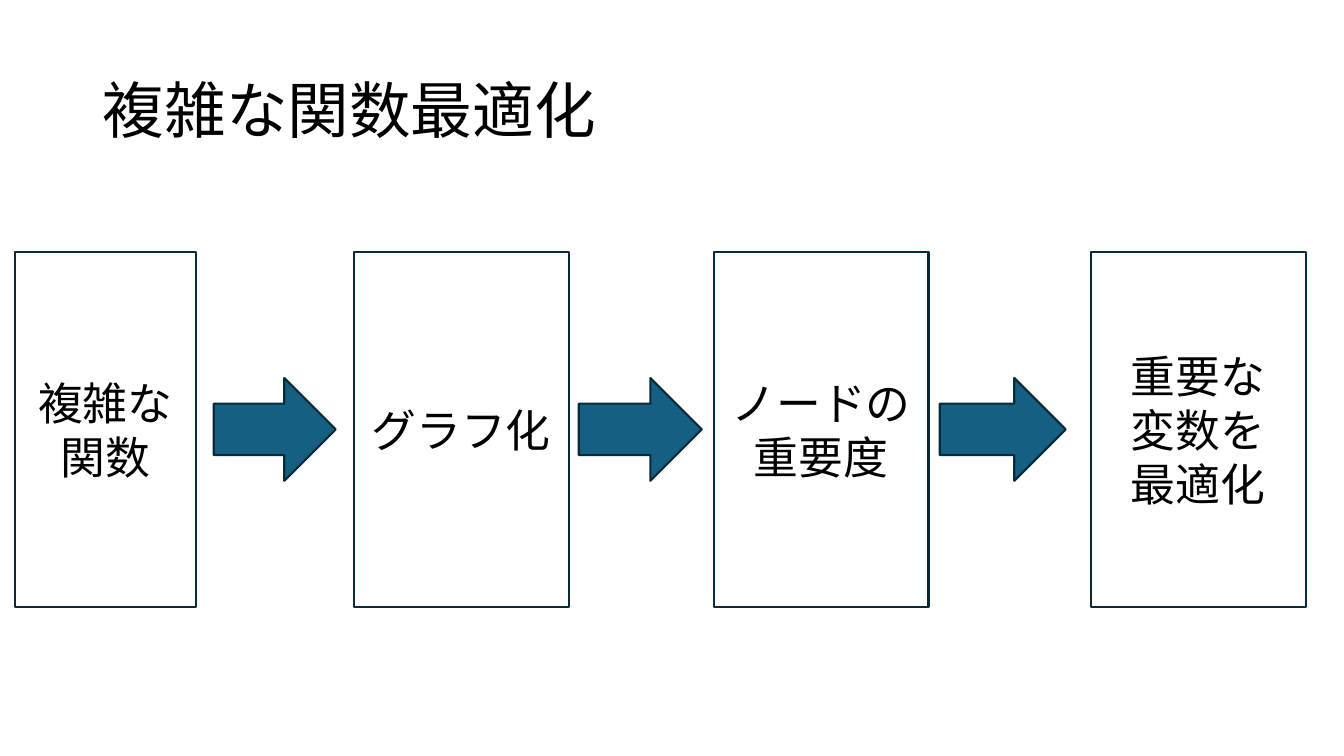
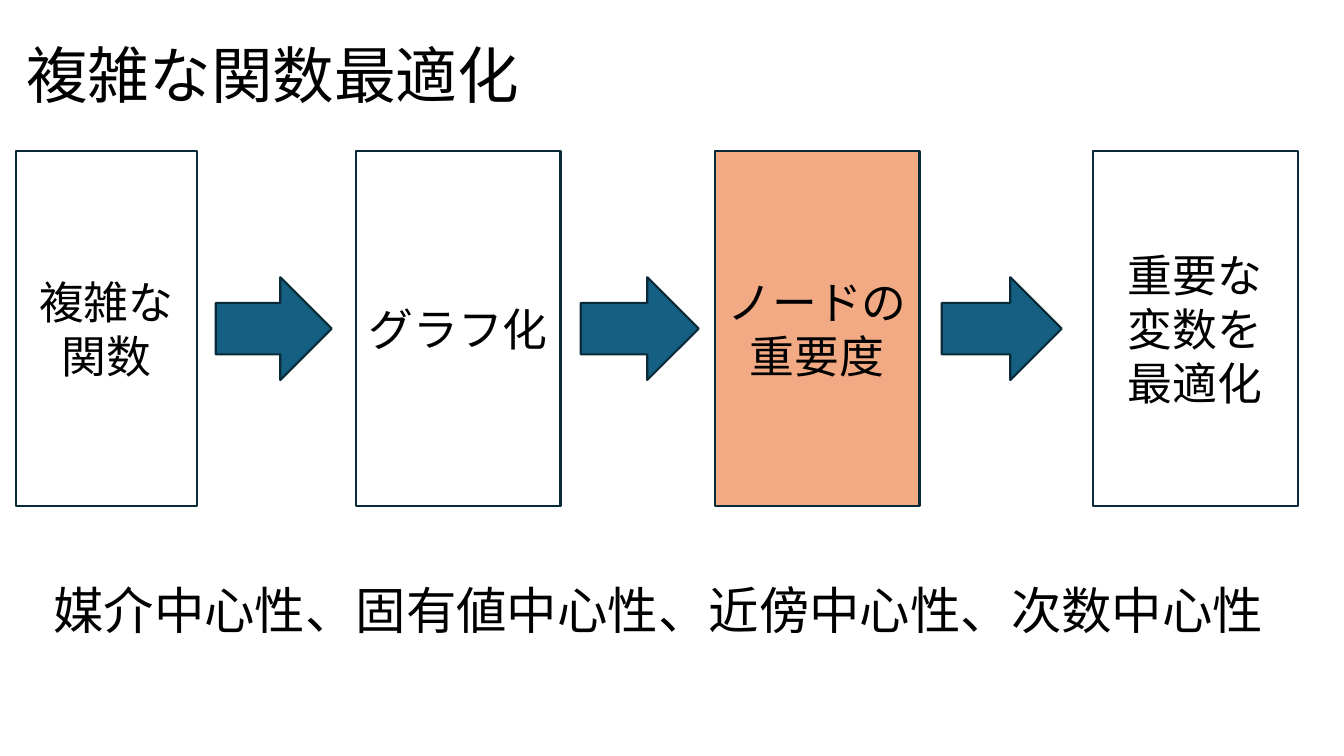
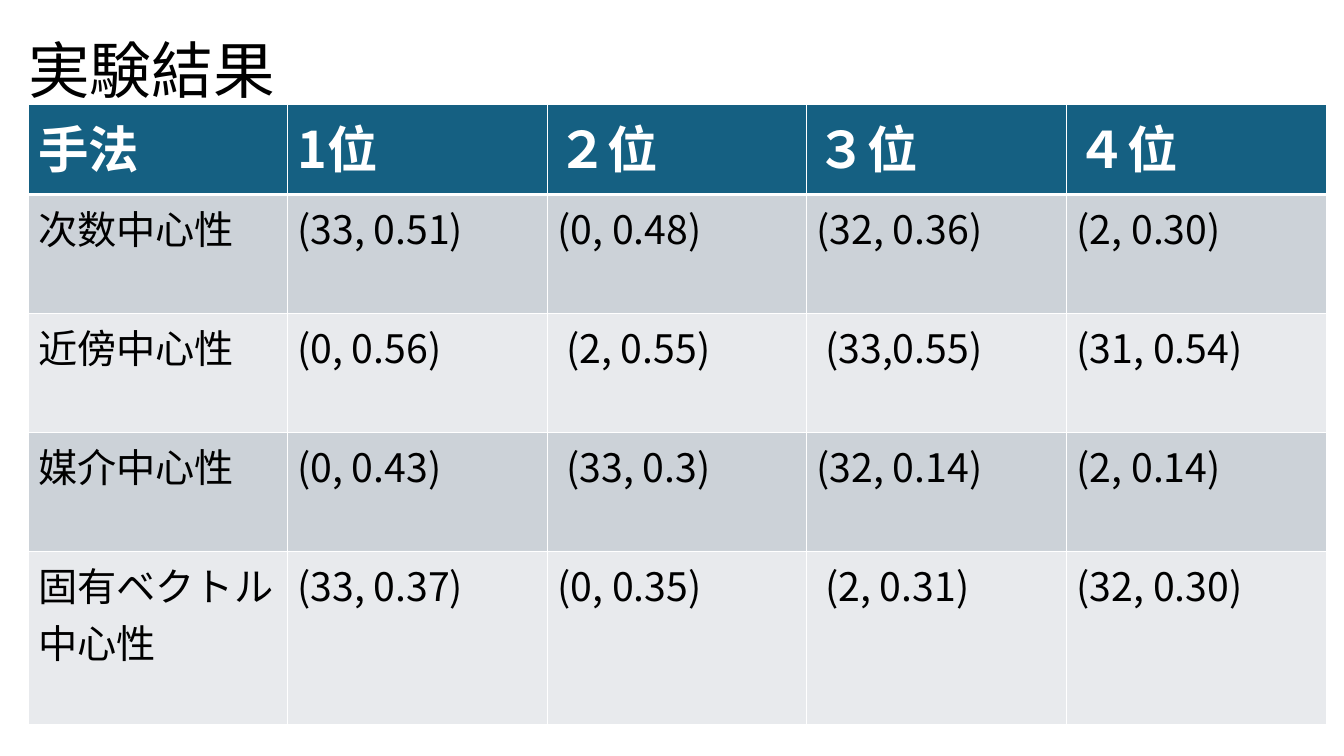
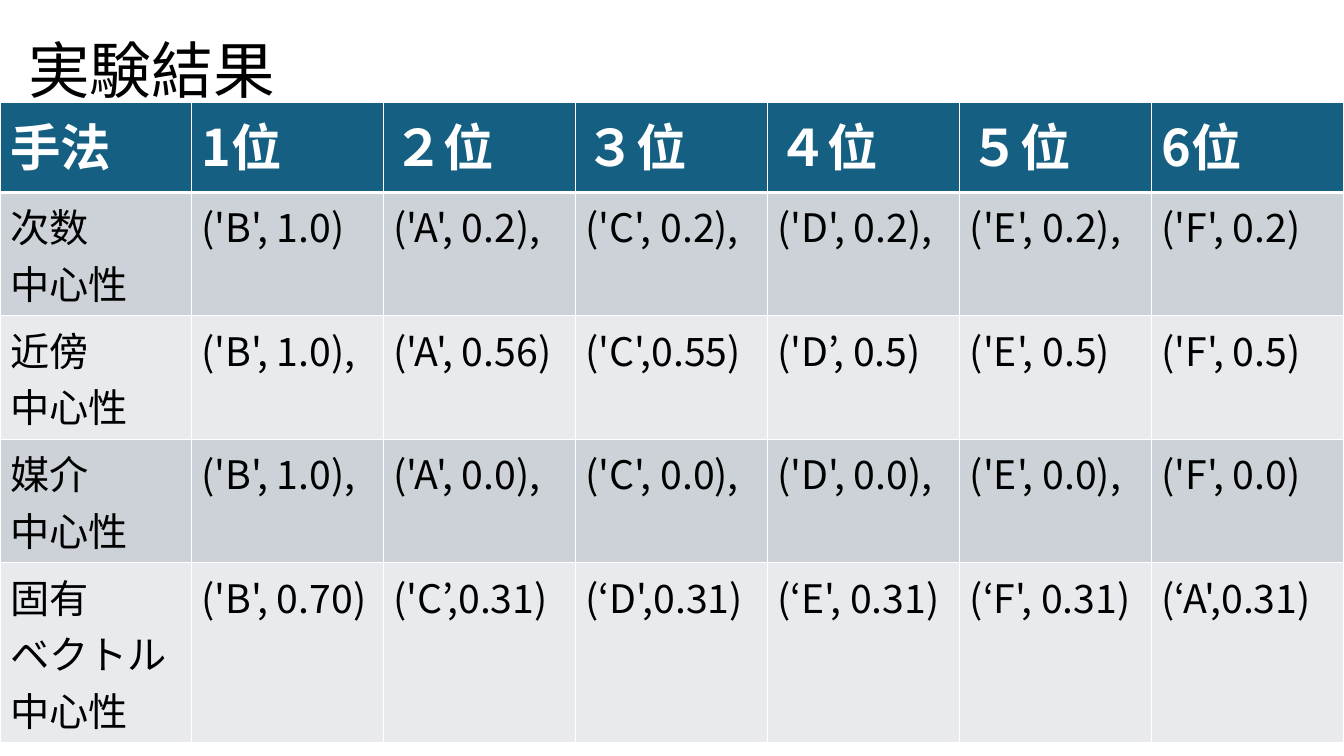
from dataclasses import dataclass

from lxml import etree
from pptx import Presentation
from pptx import util as u
from pptx.dml import color
from pptx.enum import shapes, text
from pptx.oxml import ns

PX = 9144  # EMU per px, 100 px to the inch
SLIDE_WIDTH, SLIDE_HEIGHT = 1333, 750
TITLE_WIDTH, TITLE_HEIGHT = 1150, 145
BOX_HEIGHT, ARROW_HEIGHT = 352, 102
ROW_HEIGHTS = (89, 118, 118, 118, 172)

FONT = "Noto Sans CJK JP"
BLACK, WHITE = "000000", "FFFFFF"
BLUE, NAVY, ORANGE = "156082", "092A39", "F2AA84"
BANDS = ("CCD2D8", "E8EAED")

STEP_LINES = (
    ("複雑な関数",),
    ("グラフ化",),
    ("ノードの重要度",),
    ("重要な", "変数を", "最適化"),
)


@dataclass(frozen=True)
class Span:
    """Horizontal extent in px."""
    left: int
    width: int


@dataclass(frozen=True)
class Flow:
    """Step boxes with the arrows between them; one box may be highlighted."""
    top: int
    boxes: tuple[Span, ...]
    arrows: tuple[Span, ...]
    highlight: int | None = None


@dataclass(frozen=True)
class Grid:
    left: int
    top: int
    width: int
    rows: tuple[tuple[str, ...], ...]


OVERVIEW = Flow(
    250,
    (Span(15, 179), Span(351, 213), Span(708, 213), Span(1082, 213)),
    (Span(212, 121), Span(574, 122), Span(932, 125)),
)
IMPORTANCE = Flow(
    150,
    (Span(16, 179), Span(353, 203), Span(709, 203), Span(1084, 203)),
    (Span(214, 115), Span(576, 117), Span(934, 119)),
    highlight=2,
)
FOUR_RANKS = Grid(28, 104, 1288, (
    ("手法", "1位", "２位", "３位", "４位"),
    ("次数中心性", "(33, 0.51)", "(0, 0.48)", "(32, 0.36)", "(2, 0.30)"),
    ("近傍中心性", "(0, 0.56)", " (2, 0.55)", " (33,0.55)", "(31, 0.54)"),
    ("媒介中心性", "(0, 0.43)", " (33, 0.3)", "(32, 0.14)", "(2, 0.14)"),
    ("固有ベクトル中心性", "(33, 0.37)", "(0, 0.35)", " (2, 0.31)", "(32, 0.30)"),
))
SIX_RANKS = Grid(0, 102, 1333, (
    ("手法", "1位", "２位", "３位", "４位", "５位", "6位"),
    ("次数\n中心性", "('B', 1.0)", "('A', 0.2),", "('C', 0.2),",
     "('D', 0.2),", "('E', 0.2),", "('F', 0.2)"),
    ("近傍\n中心性", "('B', 1.0),", "('A', 0.56)", "('C',0.55)",
     "('D’, 0.5)", "('E', 0.5)", "('F', 0.5)"),
    ("媒介\n中心性", "('B', 1.0),", "('A', 0.0),", "('C', 0.0),",
     "('D', 0.0),", "('E', 0.0),", "('F', 0.0)"),
    ("固有\nベクトル中心性", "('B', 0.70)", "('C’,0.31)", "(‘D',0.31)",
     "(‘E', 0.31)", "(‘F', 0.31)", "(‘A',0.31)"),
))


def px(*lengths: int) -> list[u.Emu]:
    return [u.Emu(length * PX) for length in lengths]


def rgb(value: str) -> color.RGBColor:
    return color.RGBColor.from_string(value)


def write(frame, lines, size: int, ink: str = BLACK, bold: bool = False,
          align=text.PP_ALIGN.LEFT) -> None:
    """Fill a text frame with one paragraph per line."""
    for index, line in enumerate(lines):
        para = frame.paragraphs[0] if index == 0 else frame.add_paragraph()
        para.alignment = align
        span = para.add_run()
        span.text = line
        span.font.name = FONT
        span.font.size = u.Pt(size)
        span.font.bold = bold
        span.font.color.rgb = rgb(ink)
        # East Asian characters take their typeface from a separate element.
        etree.SubElement(span.font._element, ns.qn("a:ea"), typeface=FONT)


def add_page(deck, title: str, left: int, top: int):
    page = deck.slides.add_slide(deck.slide_layouts[5])
    box = page.shapes.title
    box.left, box.top, box.width, box.height = px(left, top, TITLE_WIDTH, TITLE_HEIGHT)
    frame = box.text_frame
    frame.word_wrap = True
    frame.auto_size = text.MSO_AUTO_SIZE.NONE
    frame.vertical_anchor = text.MSO_ANCHOR.MIDDLE
    write(frame, [title], 44)
    frame.paragraphs[0].line_spacing = 0.9
    return page


def add_block(page, kind, span: Span, top: int, height: int, fill: str | None):
    block = page.shapes.add_shape(kind, *px(span.left, top, span.width, height))
    block.shadow.inherit = False
    block.line.color.rgb = rgb(NAVY)
    block.line.width = u.Pt(1.5)
    if fill:
        block.fill.solid()
        block.fill.fore_color.rgb = rgb(fill)
    else:
        block.fill.background()
    return block


def add_flow(page, flow: Flow) -> None:
    for index, (span, lines) in enumerate(zip(flow.boxes, STEP_LINES)):
        fill = ORANGE if index == flow.highlight else None
        box = add_block(page, shapes.MSO_SHAPE.RECTANGLE, span, flow.top, BOX_HEIGHT, fill)
        box.text_frame.word_wrap = True
        box.text_frame.vertical_anchor = text.MSO_ANCHOR.MIDDLE
        write(box.text_frame, lines, 32, align=text.PP_ALIGN.CENTER)
    arrow_top = flow.top + (BOX_HEIGHT - ARROW_HEIGHT) // 2
    for span in flow.arrows:
        add_block(page, shapes.MSO_SHAPE.RIGHT_ARROW, span, arrow_top, ARROW_HEIGHT, BLUE)


def add_caption(page, line: str) -> None:
    box = page.shapes.add_textbox(*px(43, 570, 1231, 71))
    box.text_frame.word_wrap = True
    box.text_frame.auto_size = text.MSO_AUTO_SIZE.SHAPE_TO_FIT_TEXT
    write(box.text_frame, [line], 36)


def set_borders(cell, top: int, bottom: int) -> None:
    """Draw white borders; top and bottom widths are in points."""
    properties = cell._tc.get_or_add_tcPr()
    widths = {"a:lnL": 1, "a:lnR": 1, "a:lnT": top, "a:lnB": bottom}
    for index, (tag, width) in enumerate(widths.items()):
        line = etree.Element(ns.qn(tag), w=str(int(u.Pt(width))))
        fill = etree.SubElement(line, ns.qn("a:solidFill"))
        etree.SubElement(fill, ns.qn("a:srgbClr"), val=WHITE)
        properties.insert(index, line)


def add_grid(page, grid: Grid) -> None:
    count = len(grid.rows[0])
    table = page.shapes.add_table(
        len(grid.rows), count,
        *px(grid.left, grid.top, grid.width, sum(ROW_HEIGHTS))).table
    table.horz_banding = False
    edges = [grid.width * index // count for index in range(count + 1)]
    for column, start, end in zip(table.columns, edges, edges[1:]):
        column.width = px(end - start)[0]
    for row_index, (row, values) in enumerate(zip(table.rows, grid.rows)):
        row.height = px(ROW_HEIGHTS[row_index])[0]
        header = row_index == 0
        for cell, value in zip(row.cells, values):
            cell.fill.solid()
            cell.fill.fore_color.rgb = rgb(BLUE if header else BANDS[(row_index - 1) % 2])
            set_borders(cell, 3 if row_index == 1 else 1, 3 if header else 1)
            write(cell.text_frame, value.split("\n"), 36 if header else 28,
                  WHITE if header else BLACK, header)


def main() -> None:
    deck = Presentation()
    deck.slide_width, deck.slide_height = px(SLIDE_WIDTH, SLIDE_HEIGHT)

    add_flow(add_page(deck, "複雑な関数最適化", 92, 40), OVERVIEW)

    page = add_page(deck, "複雑な関数最適化", 16, 5)
    add_flow(page, IMPORTANCE)
    add_caption(page, "媒介中心性、固有値中心性、近傍中心性、次数中心性")

    for grid in (FOUR_RANKS, SIX_RANKS):
        add_grid(add_page(deck, "実験結果", 18, 0), grid)

    deck.save("out.pptx")


if __name__ == "__main__":
    main()
